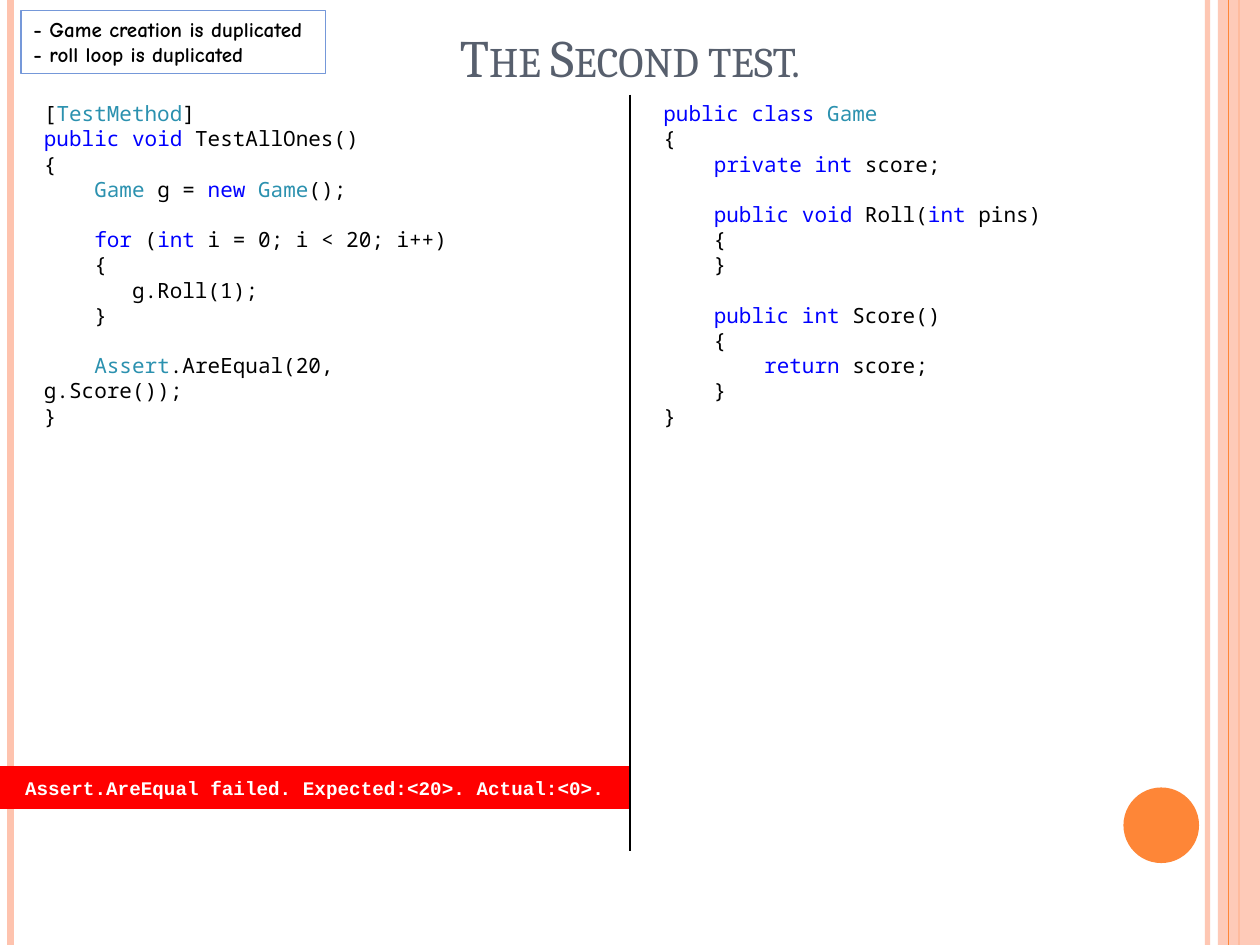
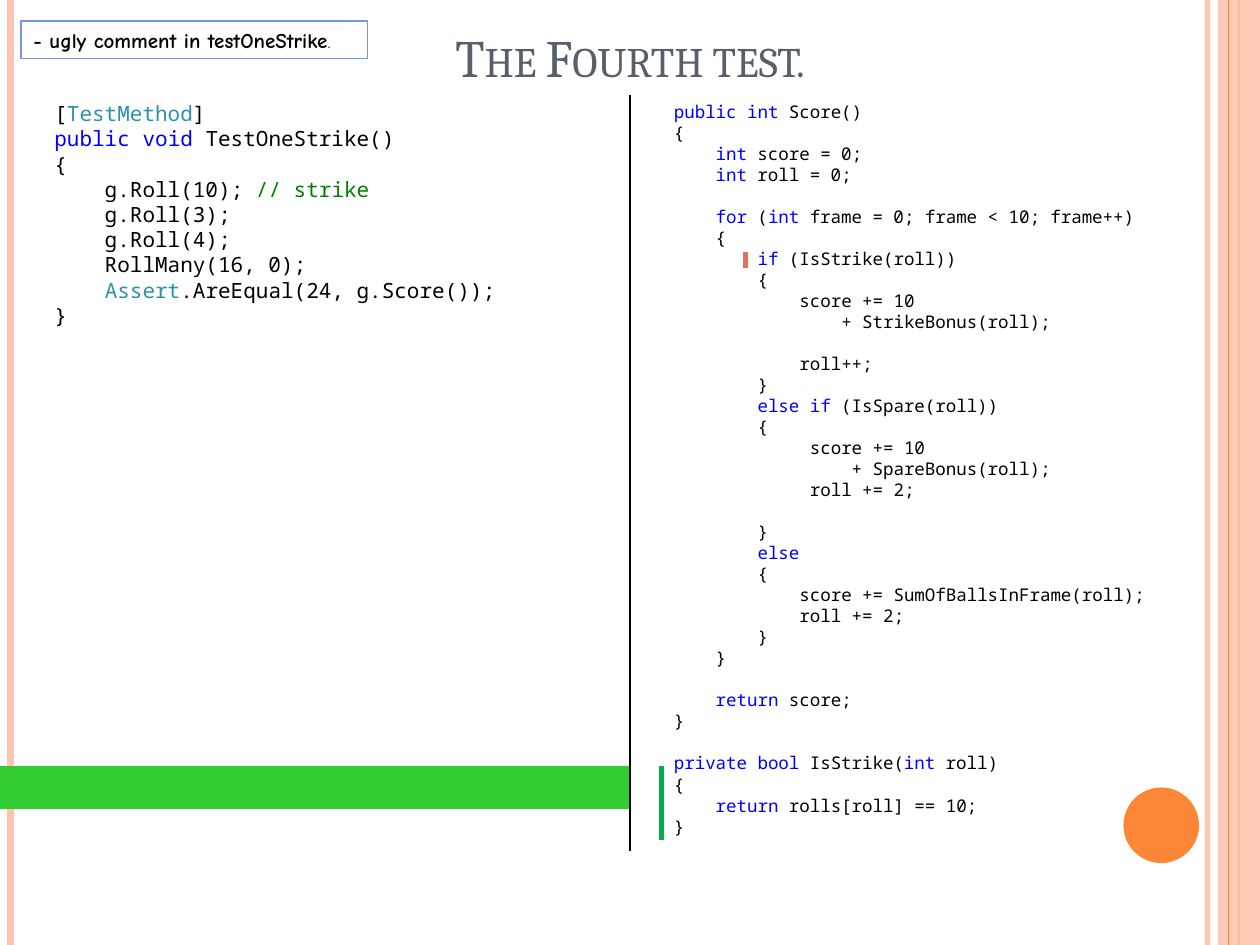
"""Build two slides of a test-first coding lesson."""
from itertools import groupby

from lxml.etree import SubElement
from pptx import Presentation
from pptx.dml.color import RGBColor
from pptx.enum.shapes import MSO_CONNECTOR, MSO_SHAPE
from pptx.enum.text import MSO_ANCHOR, PP_ALIGN
from pptx.oxml.ns import qn
from pptx.util import Pt

BLACK = RGBColor(0x00, 0x00, 0x00)
WHITE = RGBColor(0xFF, 0xFF, 0xFF)
PEACH = RGBColor(0xFE, 0xC3, 0xAE)
ORANGE = RGBColor(0xFE, 0x86, 0x37)
SLATE = RGBColor(0x57, 0x5F, 0x6D)
FRAME = RGBColor(0x75, 0x98, 0xD9)
FAIL = RGBColor(0xFF, 0x00, 0x00)
PASS = RGBColor(0x33, 0xCC, 0x33)
CORAL = RGBColor(0xEB, 0x6E, 0x5A)
GREEN = RGBColor(0x00, 0xB0, 0x50)
BLUE = RGBColor(0x00, 0x00, 0xFF)
TEAL = RGBColor(0x2B, 0x91, 0xAF)
REMARK = RGBColor(0x00, 0x80, 0x00)

WIDE, HIGH = 720, 540
HALF = WIDE / 2
LEADING = 1.2
WORDS = dict.fromkeys(
    "public private class void int bool new for if else return".split(), BLUE)
WORDS |= dict.fromkeys(["Game", "Assert", "TestMethod"], TEAL)

ONES_TEST = """\
[TestMethod]
public void TestAllOnes()
{
    Game g = new Game();

    for (int i = 0; i < 20; i++)
    {
       g.Roll(1);
    }

    Assert.AreEqual(20, g.Score());
}"""

GAME_CLASS = """\
public class Game
{
    private int score;

    public void Roll(int pins)
    {
    }

    public int Score()
    {
        return score;
    }
}"""

STRIKE_TEST = """\
[TestMethod]
public void TestOneStrike()
{
    g.Roll(10); // strike
    g.Roll(3);
    g.Roll(4);
    RollMany(16, 0);
    Assert.AreEqual(24, g.Score());
}"""

SCORE_CODE = """\
public int Score()
{
    int score = 0;
    int roll = 0;

    for (int frame = 0; frame < 10; frame++)
    {
        if (IsStrike(roll))
        {
            score += 10
                + StrikeBonus(roll);

            roll++;
        }
        else if (IsSpare(roll))
        {
             score += 10
                 + SpareBonus(roll);
             roll += 2;

        }
        else
        {
            score += SumOfBallsInFrame(roll);
            roll += 2;
        }
    }

    return score;
}

private bool IsStrike(int roll)
{
    return rolls[roll] == 10;
}"""


def style(run, face, size, color, bold=False):
    """Set the font of one run."""
    font = run.font
    font.name, font.size, font.bold = face, Pt(size), bold
    font.color.rgb = color


def fade(part, share):
    """Make the solid colour in a shape partly clear."""
    tint = next(part._element.spPr.iter(qn("a:srgbClr")))
    SubElement(tint, qn("a:alpha")).set("val", str(share * 1000))


def add_line(slide, left, top, end, color, width):
    """Draw an upright line."""
    line = slide.shapes.add_connector(
        MSO_CONNECTOR.STRAIGHT, Pt(left), Pt(top), Pt(left), Pt(end))
    line.line.color.rgb = color
    line.line.width = Pt(width)
    SubElement(line._element.spPr, qn("a:effectLst"))
    return line


def add_form(slide, kind, box, fill=None, edge=None):
    """Draw a flat preset shape."""
    form = slide.shapes.add_shape(kind, *map(Pt, box))
    form.shadow.inherit = False
    if fill is None:
        form.fill.background()
    else:
        form.fill.solid()
        form.fill.fore_color.rgb = fill
    if edge is None:
        form.line.fill.background()
    else:
        form.line.color.rgb = edge
        form.line.width = Pt(0.75)
    return form


def add_text(slide, box):
    """Add a wrapping text frame."""
    frame = slide.shapes.add_textbox(*map(Pt, box)).text_frame
    frame.word_wrap = True
    return frame


def add_base(slide, title):
    """Draw the side bands, the disc, the title and the middle rule."""
    fade(add_line(slide, 690, 0, HIGH, PEACH, 3), 93)
    add_line(slide, 6, 0, HIGH, PEACH, 4.5)
    add_line(slide, 708, 0, HIGH, ORANGE, 1.5)
    fade(add_form(slide, MSO_SHAPE.RECTANGLE, (696, 0, 24, HIGH), PEACH), 87)
    add_line(slide, 702, 0, HIGH, ORANGE, 0.75)
    add_form(slide, MSO_SHAPE.OVAL, (642, 450, 43.2, 43.2), ORANGE)
    frame = add_text(slide, (36, 0, 648, 54))
    frame.vertical_anchor = MSO_ANCHOR.BOTTOM
    frame.text = title
    para = frame.paragraphs[0]
    para.alignment = PP_ALIGN.CENTER
    style(para.runs[0], "Cambria", 30, SLATE)
    para.runs[0]._r.get_or_add_rPr().set("cap", "small")


def add_bar(slide, color, text=""):
    """Draw the test result bar and the rule that meets it."""
    bar = add_form(slide, MSO_SHAPE.RECTANGLE, (0, 438, HALF, 24), color, color)
    if text:
        bar.text_frame.text = text
        para = bar.text_frame.paragraphs[0]
        para.alignment = PP_ALIGN.CENTER
        style(para.runs[0], "Courier New", 11, WHITE, True)
    add_line(slide, HALF, 54, 486, BLACK, 1)


def add_note(slide, box, text):
    """Add a framed note on code smells."""
    frame = add_form(slide, MSO_SHAPE.RECTANGLE, box, edge=FRAME).text_frame
    frame.vertical_anchor = MSO_ANCHOR.TOP
    frame.text = text
    for para in frame.paragraphs:
        para.alignment = PP_ALIGN.LEFT
        style(para.runs[0], "Comic Neue", 12, BLACK, True)
    return frame


def paint(line):
    """Split a code line into pairs of colour and text."""
    code, mark, rest = line.partition("//")
    parts = ["".join(chars) for _, chars in groupby(code, str.isalnum)]
    pairs = groupby(parts, lambda part: WORDS.get(part, BLACK))
    return [(color, "".join(group)) for color, group in pairs] + (
        [(REMARK, mark + rest)] if mark else [])


def add_code(slide, box, code, size):
    """Add coloured code, with a space before for each empty line."""
    frame = add_text(slide, box)
    para, gap = frame.paragraphs[0], 0
    for index, line in enumerate(code.split("\n")):
        if not line:
            gap += size * LEADING
            continue
        if index:
            para = frame.add_paragraph()
            para.space_before = Pt(gap)
        gap = 0
        for color, text in paint(line):
            run = para.add_run()
            run.text = text
            style(run, "Noto Sans Mono", size, color)


def add_second(deck):
    """Build the slide on the second test."""
    slide = deck.slides.add_slide(deck.slide_layouts[6])
    add_base(slide, "The Second test.")
    add_note(slide, (12, 6, 174, 36),
             "- Game creation is duplicated\n- roll loop is duplicated")
    add_bar(slide, FAIL, "Assert.AreEqual failed. Expected:<20>. Actual:<0>.")
    add_code(slide, (18, 54, 248.4, 181.5), ONES_TEST, 12)
    add_code(slide, (372, 54, 264, 211), GAME_CLASS, 12)


def add_fourth(deck):
    """Build the slide on the fourth test."""
    slide = deck.slides.add_slide(deck.slide_layouts[6])
    add_base(slide, "The Fourth test.")
    add_bar(slide, PASS)
    add_code(slide, (378, 54, 306, 431), SCORE_CODE, 10)
    add_line(slide, 426, 144, 153, CORAL, 2.75)
    add_line(slide, 378, 438, 480, GREEN, 2.75)
    note = add_note(slide, (12, 12, 198, 21.6), "- ugly comment in testOneStrike")
    stop = note.paragraphs[0].add_run()
    stop.text = "."
    style(stop, "Comic Neue", 10, BLACK)
    add_code(slide, (24, 54, 318, 138), STRIKE_TEST, 12)


def main():
    """Build and save the deck."""
    deck = Presentation()
    deck.slide_width, deck.slide_height = Pt(WIDE), Pt(HIGH)
    add_second(deck)
    add_fourth(deck)
    deck.save("out.pptx")


if __name__ == "__main__":
    main()
